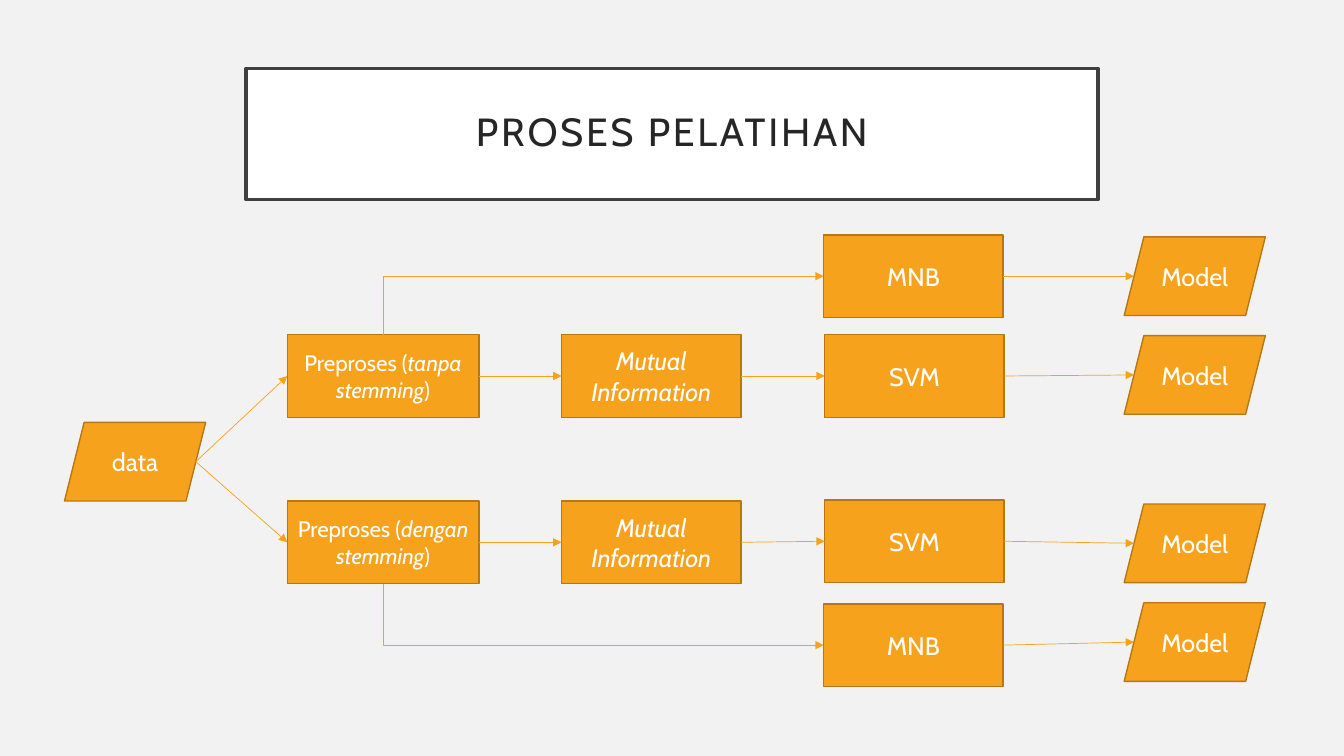
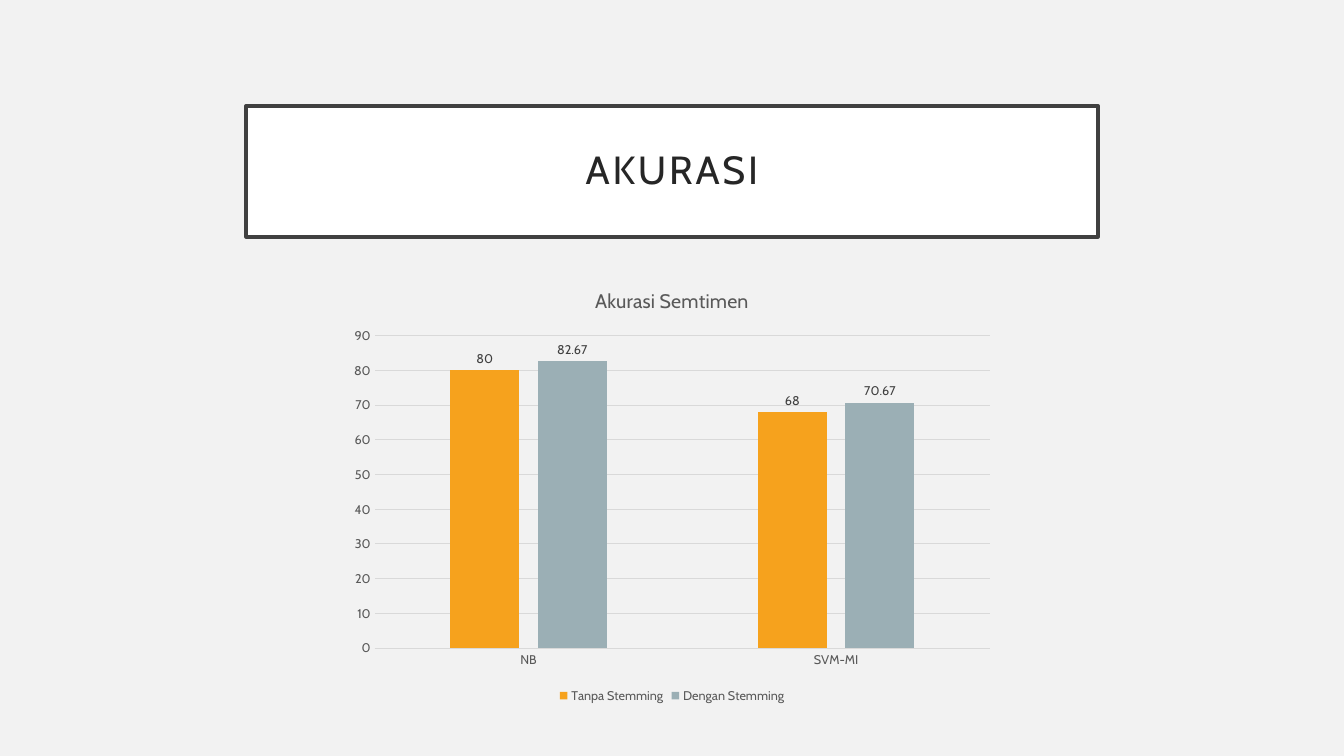
from dataclasses import dataclass

from lxml import etree
from pptx import Presentation
from pptx import util as u
from pptx.chart.chart import Chart
from pptx.chart.data import CategoryChartData
from pptx.dml.color import RGBColor
from pptx.enum import chart as charts, shapes, text
from pptx.oxml.ns import qn
from pptx.shapes.autoshape import Shape
from pptx.shapes.connector import Connector
from pptx.slide import Slide
from pptx.text.text import Font

Inches, Pt = u.Inches, u.Pt
RECTANGLE = shapes.MSO_SHAPE.RECTANGLE
PARALLELOGRAM = shapes.MSO_SHAPE.PARALLELOGRAM
TOP, LEFT, BOTTOM, RIGHT = range(4)


@dataclass(frozen=True)
class Theme:
    """Colours, font and type sizes of the presentation."""

    font: str = "Cabin"
    background: str = "F2F2F2"
    white: str = "FFFFFF"
    title_border: str = "404040"
    title_text: str = "262626"
    accent: str = "F6A21D"
    accent_border: str = "B67815"
    second: str = "9BAFB5"
    chart_text: str = "595959"
    label_text: str = "404040"
    grid: str = "D9D9D9"
    title_size: float = 28
    node_size: float = 18
    small_node_size: float = 16
    chart_title_size: float = 14
    chart_size: float = 9


THEME = Theme()


@dataclass(frozen=True)
class Node:
    """A box of the flow chart; asterisks enclose italic words."""

    name: str
    label: str
    left: float
    top: float
    width: float = 1.78
    height: float = 0.82
    kind: shapes.MSO_SHAPE = RECTANGLE
    size: float = THEME.node_size


@dataclass(frozen=True)
class Arrow:
    """An arrow from a side of one node to the left side of another."""

    start: str
    end: str
    side: int = RIGHT


def data_node(name: str, label: str, left: float, top: float) -> Node:
    """Describe a parallelogram for input or output."""
    return Node(name, label, left, top, 1.4, 0.78, PARALLELOGRAM)


def preprocess_node(name: str, label: str, top: float) -> Node:
    """Describe a preprocessing step."""
    return Node(name, label, 2.85, top, width=1.9, size=THEME.small_node_size)


NODES = [
    data_node("data", "data", 0.64, 4.19),
    preprocess_node("plain", "Preproses (*tanpa stemming*)", 3.32),
    preprocess_node("stemmed", "Preproses (*dengan stemming*)", 4.97),
    Node("plain information", "*Mutual Information*", 5.57, 3.32),
    Node("stemmed information", "*Mutual Information*", 5.57, 4.97),
    Node("plain MNB", "MNB", 8.17, 2.33),
    Node("plain SVM", "SVM", 8.18, 3.32),
    Node("stemmed SVM", "SVM", 8.18, 4.96),
    Node("stemmed MNB", "MNB", 8.17, 5.99),
    data_node("plain MNB model", "Model", 11.15, 2.35),
    data_node("plain SVM model", "Model", 11.15, 3.33),
    data_node("stemmed SVM model", "Model", 11.15, 5),
    data_node("stemmed MNB model", "Model", 11.15, 5.98),
]

ARROWS = [
    arrow
    for branch, side in (("plain", TOP), ("stemmed", BOTTOM))
    for arrow in (
        Arrow("data", branch),
        Arrow(branch, f"{branch} information"),
        Arrow(f"{branch} information", f"{branch} SVM"),
        Arrow(branch, f"{branch} MNB", side),
        Arrow(f"{branch} SVM", f"{branch} SVM model"),
        Arrow(f"{branch} MNB", f"{branch} MNB model"),
    )
]


def rgb(value: str) -> RGBColor:
    """Turn a hex string into a colour."""
    return RGBColor.from_string(value)


def style_font(font: Font, size: float, color: str) -> None:
    """Apply the theme font with a size and colour."""
    font.name = THEME.font
    font.size = Pt(size)
    font.color.rgb = rgb(color)


def style_box(shape: Shape, fill: str, border: str, width: float) -> None:
    """Give a shape a flat fill and a border."""
    shape.fill.solid()
    shape.fill.fore_color.rgb = rgb(fill)
    shape.line.color.rgb = rgb(border)
    shape.line.width = Pt(width)


def add_titled_slide(presentation: Presentation, title: str, top: float) -> Slide:
    """Add a slide with the framed title."""
    slide = presentation.slides.add_slide(presentation.slide_layouts.get_by_name("Title Only"))
    shape = slide.shapes.title
    shape.left, shape.top = Inches(2.44), Inches(top)
    shape.width, shape.height = Inches(8.45), Inches(1.3)
    style_box(shape, THEME.white, THEME.title_border, 2.5)
    frame = shape.text_frame
    frame.text = title
    frame.auto_size = text.MSO_AUTO_SIZE.NONE
    frame.vertical_anchor = text.MSO_ANCHOR.MIDDLE
    frame.margin_left = frame.margin_right = Inches(0.2)
    frame.margin_top = frame.margin_bottom = Inches(0.2)
    paragraph = frame.paragraphs[0]
    paragraph.alignment = text.PP_ALIGN.CENTER
    paragraph.line_spacing = 0.9
    run = paragraph.runs[0]
    style_font(run.font, THEME.title_size, THEME.title_text)
    run.font._element.set("spc", "200")
    return slide


def add_node(slide: Slide, node: Node) -> Shape:
    """Draw a flow chart box with its label."""
    shape = slide.shapes.add_shape(
        node.kind, Inches(node.left), Inches(node.top), Inches(node.width), Inches(node.height)
    )
    shape.shadow.inherit = False
    style_box(shape, THEME.accent, THEME.accent_border, 1)
    shape.text_frame.vertical_anchor = text.MSO_ANCHOR.MIDDLE
    paragraph = shape.text_frame.paragraphs[0]
    paragraph.alignment = text.PP_ALIGN.CENTER
    for index, part in enumerate(node.label.split("*")):
        if part:
            run = paragraph.add_run()
            run.text = part
            run.font.italic = index % 2 == 1
            style_font(run.font, node.size, THEME.white)
    return shape


def side_point(shape: Shape, side: int) -> tuple[int, int]:
    """Return the middle of a side, allowing for a slanted edge."""
    slant = shape.height // 8 if shape.auto_shape_type == PARALLELOGRAM else 0
    center_x = shape.left + shape.width // 2
    center_y = shape.top + shape.height // 2
    return {
        TOP: (center_x, shape.top),
        LEFT: (shape.left + slant, center_y),
        BOTTOM: (center_x, shape.top + shape.height),
        RIGHT: (shape.left + shape.width - slant, center_y),
    }[side]


def bend(connector: Connector, begin: tuple[int, int], end: tuple[int, int]) -> None:
    """Make a connector leave vertically and arrive horizontally."""
    run, rise = end[0] - begin[0], end[1] - begin[1]
    connector.width, connector.height = abs(rise), run
    connector.left = (begin[0] + end[0] - abs(rise)) // 2
    connector.top = (begin[1] + end[1] - run) // 2
    properties = connector._element.spPr
    properties.find(qn("a:prstGeom")).set("prst", "bentConnector2")
    transform = properties.find(qn("a:xfrm"))
    transform.set("rot", "5400000" if rise < 0 else "16200000")
    transform.set("flipH", "1")
    transform.set("flipV", "1" if rise < 0 else "0")


def add_arrow(slide: Slide, start: Shape, end: Shape, side: int) -> None:
    """Draw an arrow and join it to the rectangles it touches."""
    begin_point, end_point = side_point(start, side), side_point(end, LEFT)
    bent = side != RIGHT
    kind = shapes.MSO_CONNECTOR.ELBOW if bent else shapes.MSO_CONNECTOR.STRAIGHT
    connector = slide.shapes.add_connector(kind, *begin_point, *end_point)
    if start.auto_shape_type == RECTANGLE:
        connector.begin_connect(start, side)
    if end.auto_shape_type == RECTANGLE:
        connector.end_connect(end, LEFT)
    if bent:
        bend(connector, begin_point, end_point)
    connector.line.color.rgb = rgb(THEME.accent)
    connector.line.width = Pt(0.5)
    properties = connector._element.spPr
    etree.SubElement(properties.find(qn("a:ln")), qn("a:tailEnd"), type="triangle")
    etree.SubElement(properties, qn("a:effectLst"))


def style_axes(chart: Chart) -> None:
    """Format both axes and the grid."""
    for axis in (chart.category_axis, chart.value_axis):
        axis.major_tick_mark = axis.minor_tick_mark = charts.XL_TICK_MARK.NONE
        style_font(axis.tick_labels.font, THEME.chart_size, THEME.chart_text)
    chart.value_axis.format.line.fill.background()
    chart.value_axis.minimum_scale, chart.value_axis.maximum_scale = 0, 90
    chart.value_axis.major_unit = 10
    chart.value_axis.has_major_gridlines = True
    for line in (chart.category_axis.format.line, chart.value_axis.major_gridlines.format.line):
        line.color.rgb = rgb(THEME.grid)
        line.width = Pt(0.75)


def add_accuracy_chart(slide: Slide) -> None:
    """Add the clustered columns of accuracy."""
    data = CategoryChartData()
    data.categories = ["NB", "SVM-MI"]
    data.add_series("Tanpa Stemming", (80, 68))
    data.add_series("Dengan Stemming", (82.67, 70.67))
    chart = slide.shapes.add_chart(
        charts.XL_CHART_TYPE.COLUMN_CLUSTERED,
        Inches(3.38), Inches(2.67), Inches(6.57), Inches(4.35), data,
    ).chart
    style_font(chart.font, THEME.chart_size, THEME.chart_text)
    chart.has_title = True
    chart.chart_title.text_frame.text = "Akurasi Semtimen"
    title_font = chart.chart_title.text_frame.paragraphs[0].runs[0].font
    style_font(title_font, THEME.chart_title_size, THEME.chart_text)
    title_font.bold = False
    chart.chart_title.include_in_layout = False
    chart.has_legend = True
    chart.legend.position = charts.XL_LEGEND_POSITION.BOTTOM
    chart.legend.include_in_layout = False
    style_font(chart.legend.font, THEME.chart_size, THEME.chart_text)
    style_axes(chart)
    plot = chart.plots[0]
    plot.gap_width, plot.overlap = 219, -27
    plot.vary_by_categories = False
    for series, color in zip(plot.series, (THEME.accent, THEME.second)):
        series.format.fill.solid()
        series.format.fill.fore_color.rgb = rgb(color)
        labels = series.data_labels
        labels.show_value = True
        labels.position = charts.XL_LABEL_POSITION.OUTSIDE_END
        style_font(labels.font, THEME.chart_size, THEME.label_text)


def main() -> None:
    """Build and save the presentation."""
    presentation = Presentation()
    presentation.slide_width, presentation.slide_height = Inches(13.33), Inches(7.5)
    background = presentation.slide_master.background.fill
    background.solid()
    background.fore_color.rgb = rgb(THEME.background)

    training = add_titled_slide(presentation, "PROSES PELATIHAN", 0.68)
    boxes = {node.name: add_node(training, node) for node in NODES}
    for arrow in ARROWS:
        add_arrow(training, boxes[arrow.start], boxes[arrow.end], arrow.side)

    add_accuracy_chart(add_titled_slide(presentation, "AKURASI", 1.05))
    presentation.save("out.pptx")


if __name__ == "__main__":
    main()
